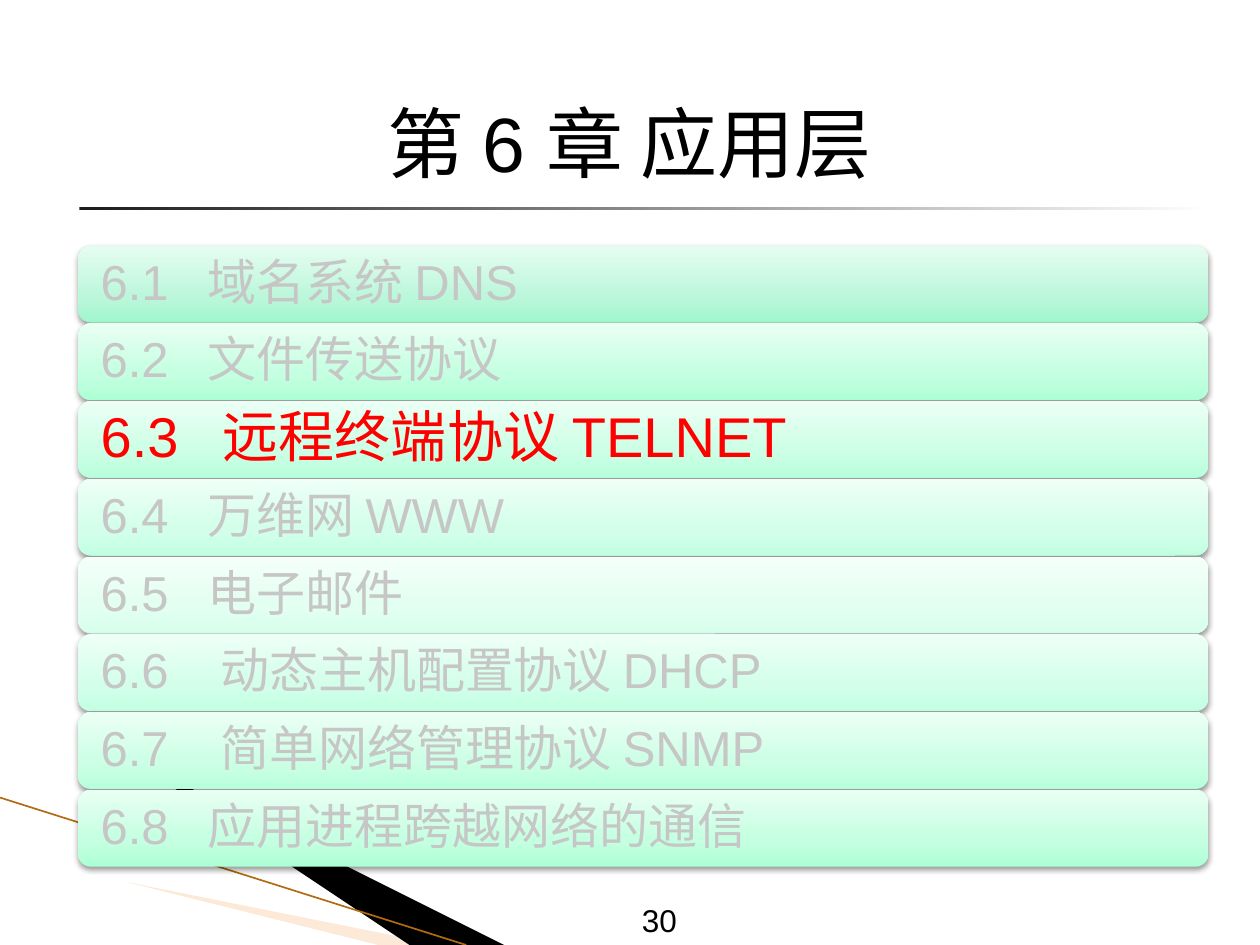
from dataclasses import dataclass

from lxml import etree
from pptx import Presentation
from pptx.dml.color import RGBColor
from pptx.enum.shapes import MSO_CONNECTOR, MSO_SHAPE
from pptx.enum.text import MSO_ANCHOR, PP_ALIGN
from pptx.oxml.ns import qn
from pptx.util import Emu, Inches, Pt

RECTANGLE, ROUNDED = MSO_SHAPE.RECTANGLE, MSO_SHAPE.ROUNDED_RECTANGLE
STRAIGHT = MSO_CONNECTOR.STRAIGHT
MIDDLE, BOTTOM = MSO_ANCHOR.MIDDLE, MSO_ANCHOR.BOTTOM
LEFT, CENTER, RIGHT = PP_ALIGN.LEFT, PP_ALIGN.CENTER, PP_ALIGN.RIGHT

FONT = "Arial"
BLACK, GREY, RED = "000000", "C6C6C6", "FF0000"

# Bar grid, in inches
BAR_LEFT, BAR_TOP, BAR_WIDTH, BAR_HEIGHT, BAR_PITCH = 0.62, 1.95, 8.97, 0.61, 0.617

# Bar gradients from bottom to top, by depth of green
STOPS = (0, 35, 100)
DEEPEST = ("A0F6CD", "BDF7DB", "E5FDF1")
DEEP = ("ADFFD5", "C5FFE1", "E9FFF3")
MEDIUM = ("B7FFDC", "CCFFE5", "ECFFF5")
LIGHT = ("C2FFE2", "D3FFEA", "EEFFF7")
LIGHTEST = ("D7FFEC", "E2FFF1", "F4FFF9")


@dataclass
class Section:
    number: str
    name: str
    shades: tuple[str, ...]
    tab: float = 0.85
    size: int = 28
    color: str = GREY


SECTIONS = [
    Section("6.1", "域名系统 DNS", DEEPEST),
    Section("6.2", "文件传送协议", DEEP),
    Section("6.3", "远程终端协议 TELNET", MEDIUM, tab=0.97, size=32, color=RED),
    Section("6.4", "万维网 WWW", LIGHT),
    Section("6.5", "电子邮件", LIGHTEST),
    Section("6.6", "动态主机配置协议 DHCP", LIGHT, tab=0.95),
    Section("6.7", "简单网络管理协议 SNMP", MEDIUM, tab=0.95),
    Section("6.8", "应用进程跨越网络的通信", DEEP),
]


def rgb(color: str) -> RGBColor:
    return RGBColor.from_string(color)


def add_element(parent, tag: str, **attributes):
    return etree.SubElement(parent, qn(tag), attributes)


def add_alpha(color_element, percent: int) -> None:
    add_element(color_element, "a:alpha", val=str(percent * 1000))


def set_gradient(shape, stops: tuple[int, ...], colors: tuple[str, ...], angle: int) -> None:
    gradient = etree.Element(qn("a:gradFill"), rotWithShape="1")
    stop_list = add_element(gradient, "a:gsLst")
    for position, color in zip(stops, colors):
        stop = add_element(stop_list, "a:gs", pos=str(position * 1000))
        add_element(stop, "a:srgbClr", val=color)
    add_element(gradient, "a:lin", ang=str(angle * 60000), scaled="0")
    shape._element.spPr.insert(2, gradient)
    shape.line.fill.background()
    shape.shadow.inherit = False


def add_drop_shadow(shape) -> None:
    effects = shape._element.spPr.find(qn("a:effectLst"))
    shadow = add_element(effects, "a:outerShdw", blurRad="40000", dist="20000",
                         dir="5400000", rotWithShape="0")
    add_alpha(add_element(shadow, "a:srgbClr", val=BLACK), 38)


def set_text(shape, text: str, size: int, color: str, alignment, anchor) -> None:
    frame = shape.text_frame
    frame.word_wrap = True
    frame.vertical_anchor = anchor
    frame.text = text
    paragraph = frame.paragraphs[0]
    paragraph.alignment = alignment
    for run in paragraph.runs:
        run.font.size, run.font.name = Pt(size), FONT
        run.font.color.rgb = rgb(color)


def add_wedge(slide, points: list[tuple[float, float]], color: str, opacity: int = 100) -> None:
    builder = slide.shapes.build_freeform(*points[0], scale=Inches(1))
    builder.add_line_segments(points[1:], close=True)
    shape = builder.convert_to_shape()
    shape.fill.solid()
    shape.fill.fore_color.rgb = rgb(color)
    shape.line.fill.background()
    shape.shadow.inherit = False
    if opacity < 100:
        add_alpha(shape._element.spPr.find(".//" + qn("a:srgbClr")), opacity)


def add_section(slide, row: int, section: Section) -> None:
    top = BAR_TOP + row * BAR_PITCH
    bar = slide.shapes.add_shape(ROUNDED, Inches(BAR_LEFT), Inches(top),
                                 Inches(BAR_WIDTH), Inches(BAR_HEIGHT))
    set_gradient(bar, STOPS, section.shades, 270)
    add_drop_shadow(bar)
    frame = bar.text_frame
    frame.margin_left = frame.margin_right = Inches(0.15)
    frame.margin_top = frame.margin_bottom = Emu(0)
    set_text(bar, f"{section.number}\t{section.name}", section.size, section.color,
             LEFT, MIDDLE)
    paragraph = frame.paragraphs[0]
    paragraph.line_spacing = 0.9
    tabs = add_element(paragraph._p.get_or_add_pPr(), "a:tabLst")
    add_element(tabs, "a:tab", pos=str(Inches(section.tab)), algn="l")


def main() -> None:
    presentation = Presentation()
    presentation.slide_width, presentation.slide_height = Inches(10), Inches(7.5)
    slide = presentation.slides.add_slide(presentation.slide_layouts[5])

    # Corner decoration
    add_wedge(slide, [(0.62, 6.51), (6.02, 7.5), (4.63, 7.5)], "FBC99E", 40)
    add_wedge(slide, [(0.53, 6.49), (4.57, 7.5), (3.72, 7.5)], BLACK)
    edge = slide.shapes.add_connector(STRAIGHT, Inches(0), Inches(6.33),
                                      Inches(3.7), Inches(7.5))
    edge.line.color.rgb = rgb("B06C12")
    edge.line.width = Pt(0.95)
    add_element(edge._element.spPr, "a:effectLst")

    # Title and the rule below it
    title = slide.shapes.title
    title.left, title.top = Inches(1.25), Inches(0.7)
    title.width, title.height = Inches(7.5), Inches(0.84)
    set_text(title, "第 6 章 应用层", 44, BLACK, CENTER, BOTTOM)
    rule = slide.shapes.add_shape(RECTANGLE, Inches(0.63), Inches(1.64),
                                  Inches(9), Inches(0.03))
    set_gradient(rule, (0, 100), ("1C1C1C", "FFFFFF"), 0)

    # Chapter sections
    for row, section in enumerate(SECTIONS):
        add_section(slide, row, section)

    # Page number
    number = slide.shapes.add_textbox(Inches(4.84), Inches(7.03), Inches(0.63), Inches(0.47))
    set_text(number, "30", 18, BLACK, RIGHT, BOTTOM)

    presentation.save("out.pptx")


if __name__ == "__main__":
    main()
